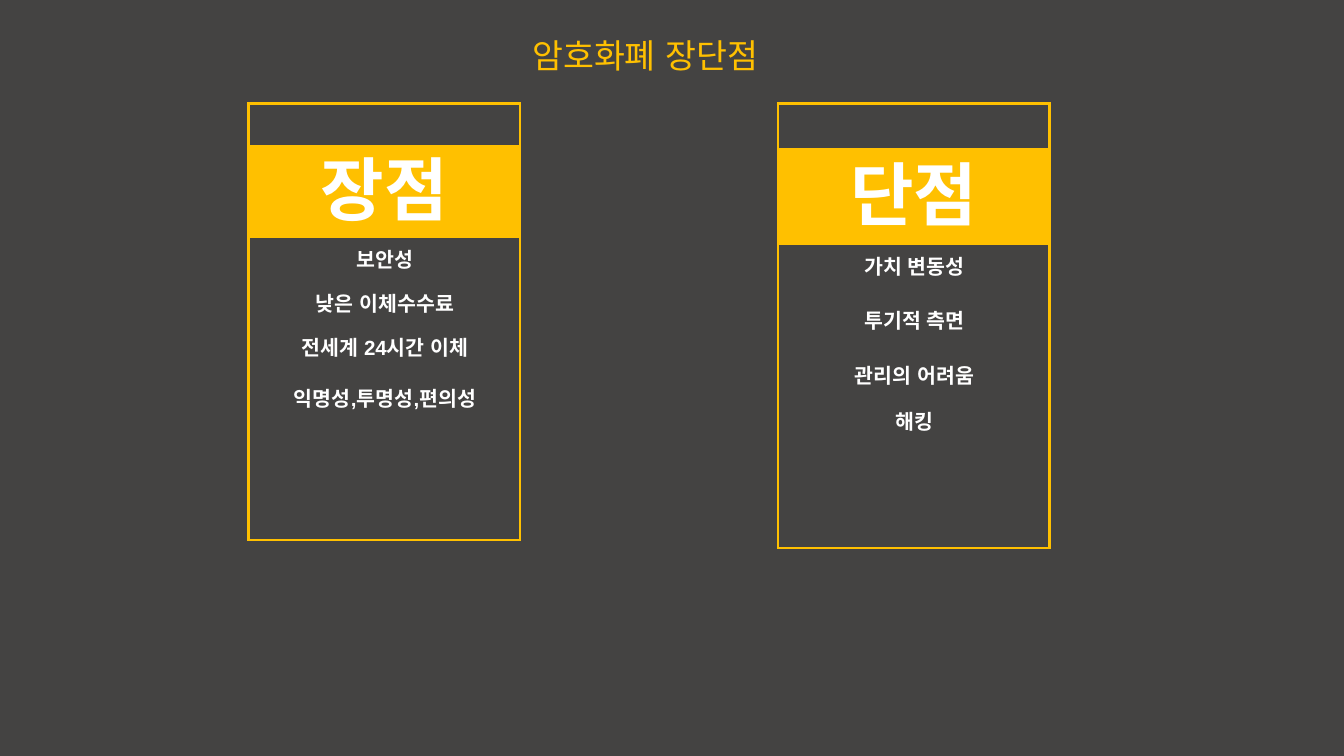
from lxml import etree
from pptx import Presentation
from pptx.dml.color import RGBColor
from pptx.enum.text import MSO_ANCHOR as Anchor, PP_ALIGN as Align
from pptx.oxml.ns import qn
from pptx.util import Inches, Pt

GOLD = RGBColor(0xFF, 0xC0, 0x00)
WHITE = RGBColor(0xFF, 0xFF, 0xFF)
DARK = RGBColor(0x44, 0x43, 0x42)
PLAIN = "{2D5ABB26-0587-4C30-8999-92F81FD0307C}"
COLS = [0.23, 1.57, 0.22]


def write(frame, text, size, color, bold=False):
    para = frame.paragraphs[0]
    para.alignment = Align.CENTER
    run = para.add_run()
    run.text = text
    font = run.font
    font.name, font.size, font.bold = "Arial", Pt(size), bold
    font.color.rgb = color
    for kind in ("ea", "cs"):
        etree.SubElement(run._r.get_or_add_rPr(), qn(f"a:{kind}"), typeface="Arial")


def edge(cell, sides):
    props = cell._tc.get_or_add_tcPr()
    for side in sides:
        line = etree.SubElement(props, qn(f"a:ln{side}"), w=str(Pt(1.5)))
        fill = etree.SubElement(line, qn("a:solidFill"))
        etree.SubElement(fill, qn("a:srgbClr"), val=str(GOLD))


def add_title(slide, text, left, top, width, height):
    title = slide.shapes.title
    title.left, title.top = Inches(left), Inches(top)
    title.width, title.height = Inches(width), Inches(height)
    frame = title.text_frame
    frame.word_wrap = True
    frame.vertical_anchor = Anchor.MIDDLE
    write(frame, text, 18, GOLD)


def add_card(slide, left, top, height, head, items, rows):
    shape = slide.shapes.add_table(len(rows), len(COLS), Inches(left), Inches(top),
                                   Inches(sum(COLS)), Inches(height))
    table = shape.table
    table.first_row = table.horz_banding = False
    table._tbl.tblPr.find(qn("a:tableStyleId")).text = PLAIN
    for col, width in zip(table.columns, COLS):
        col.width = Inches(width)
    for row, tall in zip(table.rows, rows):
        row.height = Inches(tall)
    shape.height = Inches(height)
    for r in (0, 1):
        table.cell(r, 0).merge(table.cell(r, 2))

    texts = {(1, 0): (head, 37)}
    texts.update({(r, 1): (item, 11) for r, item in enumerate(items, 2)})
    last = len(rows) - 1
    for r in range(len(rows)):
        for c in range(len(COLS)):
            cell = table.cell(r, c)
            wide = r < 2
            sides = {"L": c == 0, "R": c == 2 or wide and c == 0,
                     "T": r == 0, "B": r == last}
            edge(cell, [side for side, shown in sides.items() if shown])
            cell.margin_left = cell.margin_right = Inches(0.08)
            cell.margin_top = cell.margin_bottom = Inches(0.04)
            cell.vertical_anchor = Anchor.MIDDLE
            if r == 1:
                cell.fill.solid()
                cell.fill.fore_color.rgb = GOLD
            else:
                cell.fill.background()
            if (r, c) in texts:
                write(cell.text_frame, *texts[r, c], WHITE, True)
            else:
                para = cell.text_frame.paragraphs[0]._p
                etree.SubElement(para, qn("a:endParaRPr"), sz="800")


def main():
    deck = Presentation()
    deck.slide_width = Inches(10)
    deck.slide_height = deck.slide_width * 9 // 16
    slide = deck.slides.add_slide(deck.slide_layouts[5])
    back = slide.background.fill
    back.solid()
    back.fore_color.rgb = DARK

    add_card(slide, 1.85, 0.77, 3.31, "장점",
             ["보안성", "낮은 이체수수료", "전세계 24시간 이체", "익명성,투명성,편의성"],
             [0.31, 0.69, 0.33, 0.33, 0.33, 0.33, 0.84])
    add_card(slide, 5.79, 0.77, 3.31, "단점",
             ["가치 변동성", "투기적 측면", "관리의 어려움", "해킹"],
             [0.33, 0.72, 0.34, 0.47, 0.34, 0.34, 0.77])
    add_title(slide, "암호화폐 장단점", 1.14, 0.21, 7.32, 0.4)
    deck.save("out.pptx")


if __name__ == "__main__":
    main()
